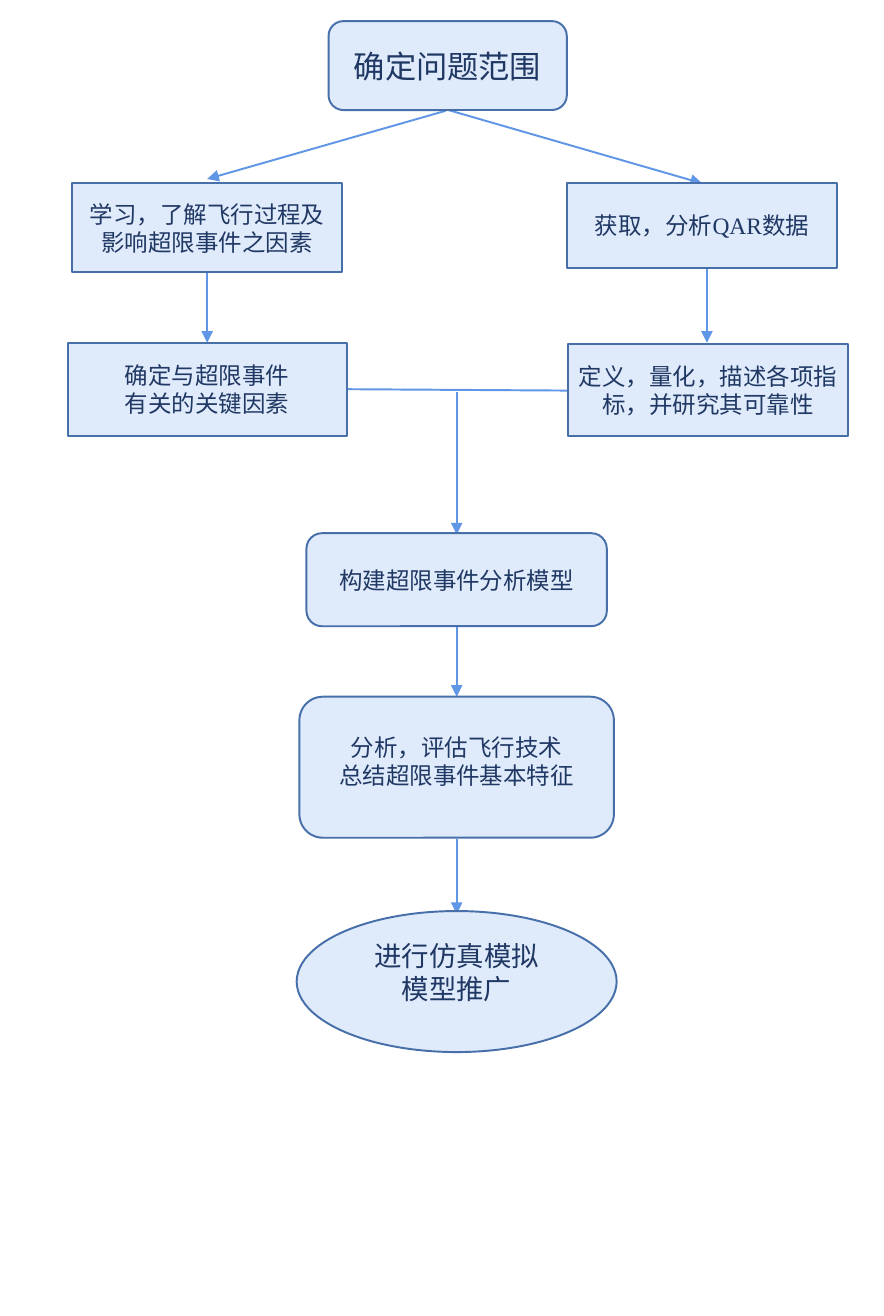
from lxml import etree
from pptx import Presentation
from pptx.dml.color import RGBColor
from pptx.enum.shapes import MSO_CONNECTOR, MSO_SHAPE
from pptx.enum.text import MSO_ANCHOR, PP_ALIGN
from pptx.oxml.ns import qn
from pptx.util import Pt

RECTANGLE = MSO_SHAPE.RECTANGLE
ROUNDED = MSO_SHAPE.ROUNDED_RECTANGLE
OVAL = MSO_SHAPE.OVAL
STRAIGHT = MSO_CONNECTOR.STRAIGHT
MIDDLE = MSO_ANCHOR.MIDDLE
CENTER = PP_ALIGN.CENTER

COLORS = {"fill": "DFEAFA", "outline": "476FAA", "arrow": "6096E6", "text": "203864"}
CHINESE_FONT = "Noto Sans CJK SC"
LATIN_FONT = "Times New Roman"
FRAME_FORMAT = {
    "word_wrap": True,
    "vertical_anchor": MIDDLE,
    "margin_left": Pt(3.6),
    "margin_right": Pt(3.6),
    "margin_top": Pt(1.4),
    "margin_bottom": Pt(1.4),
}

# Centre lines of the start box, the two branches and the merged column
START_X, LEFT_X, RIGHT_X, MAIN_X = 228.6, 105.8, 361, 233.2

# Shape, centre x, top, width, height, text size, lines, extra bottom margin
STEPS = [
    (ROUNDED, START_X, 10.8, 121.7, 45.4, 16, ["确定问题范围"], 0),
    (RECTANGLE, LEFT_X, 93.6, 138.2, 45.4, 12,
     ["学习，了解飞行过程及", "影响超限事件之因素"], 0),
    (RECTANGLE, 358.5, 93.6, 138.2, 43.2, 12, ["获取，分析QAR数据"], 0),
    (RECTANGLE, LEFT_X, 175, 142.6, 47.5, 12,
     ["确定与超限事件", "有关的关键因素"], 0),
    (RECTANGLE, 361.5, 175.7, 142.6, 46.8, 12,
     ["定义，量化，描述各项指标，并研究其可靠性"], 0),
    (ROUNDED, MAIN_X, 272.2, 153.4, 47.5, 12, ["构建超限事件分析模型"], 0),
    (ROUNDED, MAIN_X, 355.7, 160.6, 72, 12,
     ["分析，评估飞行技术", "总结超限事件基本特征"], 6.6),
    (OVAL, MAIN_X, 465.1, 163.4, 72, 14, ["进行仿真模拟", "模型推广"], 9.7),
]

# Begin x, begin y, end x, end y
ARROWS = [
    (227.5, 56.6, LEFT_X, 91.4),
    (229, 56.2, 358.5, 93.6),
    (LEFT_X, 139, LEFT_X, 175),
    (RIGHT_X, 136.8, RIGHT_X, 175),
    (MAIN_X, 200.2, MAIN_X, 272.9),
    (MAIN_X, 319.7, MAIN_X, 355.7),
    (MAIN_X, 428.2, MAIN_X, 466.6),
]
MERGE_LINE = (177.1, 198.7, 290.2, 199.4)


def color(name):
    """Return the named colour."""
    return RGBColor.from_string(COLORS[name])


def set_attributes(target, values):
    """Set every attribute of target that values names."""
    for name, value in values.items():
        setattr(target, name, value)


def split_scripts(line):
    """Split a line into (text, is_latin) pieces."""
    pieces = []
    for letter in line:
        is_latin = letter.isascii()
        if pieces and pieces[-1][1] == is_latin:
            pieces[-1] = (pieces[-1][0] + letter, is_latin)
        else:
            pieces.append((letter, is_latin))
    return pieces


def add_span(para, text, is_latin, size):
    """Add a run in the font of its script."""
    span = para.add_run()
    span.text = text
    font_name = LATIN_FONT if is_latin else CHINESE_FONT
    set_attributes(span.font, {"name": font_name, "size": Pt(size)})
    span.font.color.rgb = color("text")
    properties = span.font._element
    etree.SubElement(properties, qn("a:ea"), typeface=CHINESE_FONT)


def add_step(page, kind, center_x, top, width, height, size, lines, extra_bottom):
    """Add one flowchart box with its centred text."""
    box = page.shapes.add_shape(
        kind, Pt(center_x - width / 2), Pt(top), Pt(width), Pt(height))
    box.shadow.inherit = False
    box.fill.solid()
    box.fill.fore_color.rgb = color("fill")
    box.line.color.rgb = color("outline")
    box.line.width = Pt(1)
    frame = box.text_frame
    set_attributes(frame, FRAME_FORMAT)
    frame.margin_bottom += Pt(extra_bottom)
    for index, line in enumerate(lines):
        para = frame.add_paragraph() if index else frame.paragraphs[0]
        para.alignment = CENTER
        for text, is_latin in split_scripts(line):
            add_span(para, text, is_latin, size)


def add_line(page, points, has_head):
    """Add a straight connector, with an arrowhead at its end if asked."""
    connector = page.shapes.add_connector(STRAIGHT, *map(Pt, points))
    connector.line.color.rgb = color("arrow")
    connector.line.width = Pt(1)
    if has_head:
        outline = connector.line._get_or_add_ln()
        etree.SubElement(outline, qn("a:tailEnd"), type="triangle")
    etree.SubElement(connector._element.spPr, qn("a:effectLst"))


def main():
    """Build the flowchart and save it."""
    deck = Presentation()
    set_attributes(deck, {"slide_width": Pt(451.4), "slide_height": Pt(671.8)})
    page = deck.slides.add_slide(deck.slide_layouts[6])
    add_line(page, MERGE_LINE, False)
    for points in ARROWS:
        add_line(page, points, True)
    for step in STEPS:
        add_step(page, *step)
    deck.save("out.pptx")


main()
